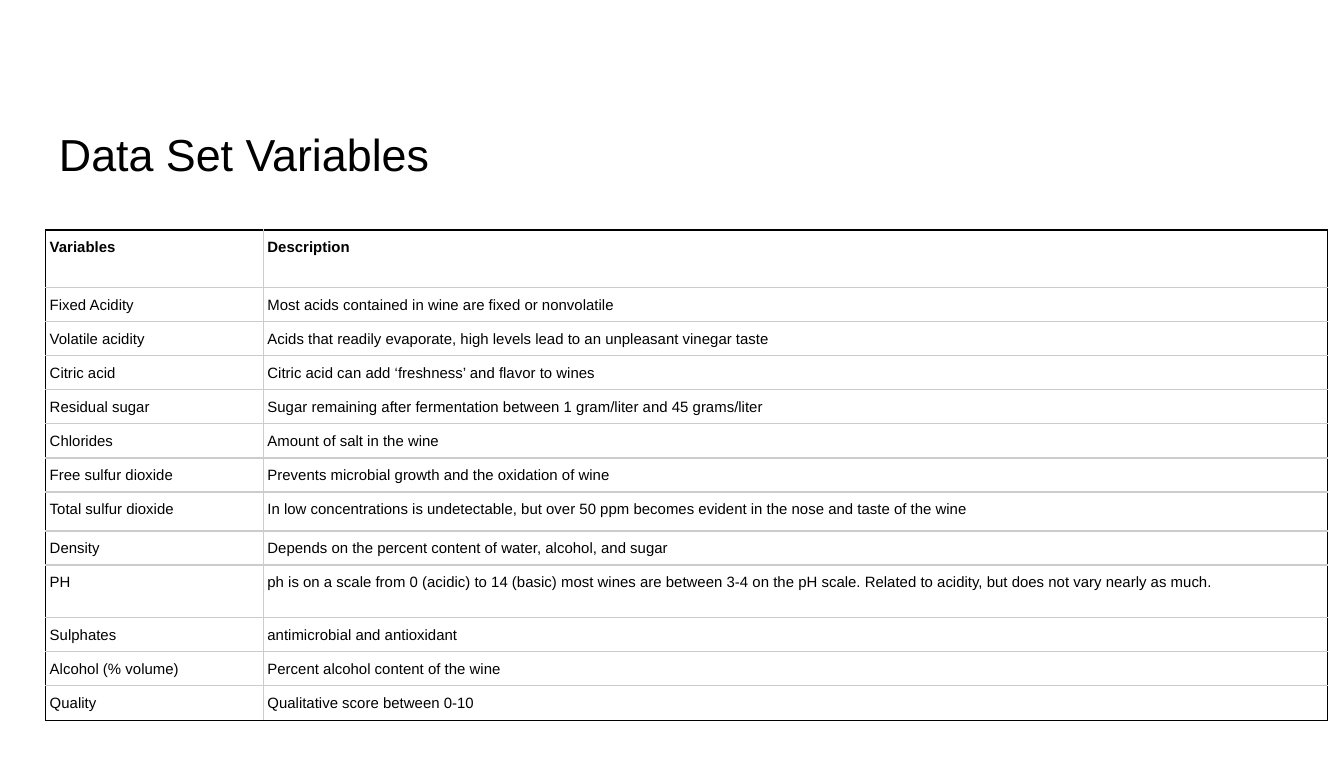
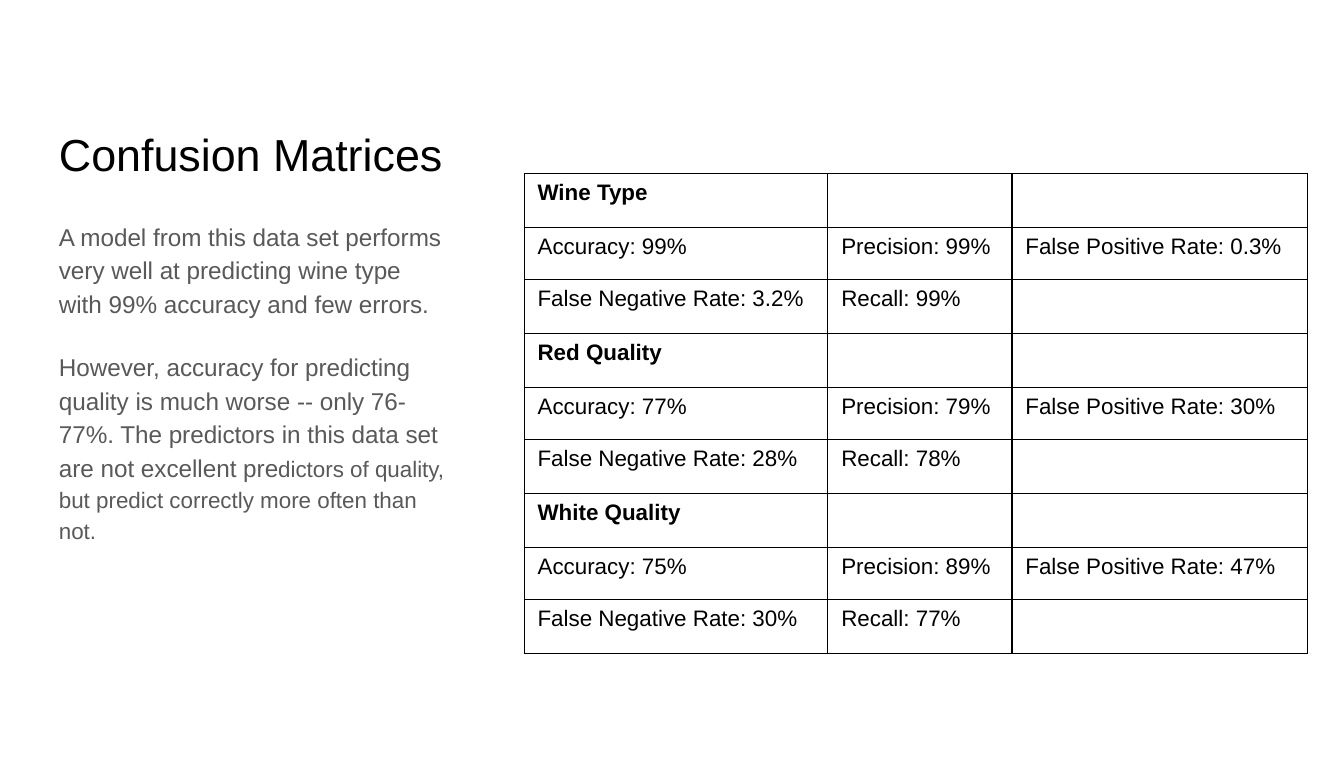
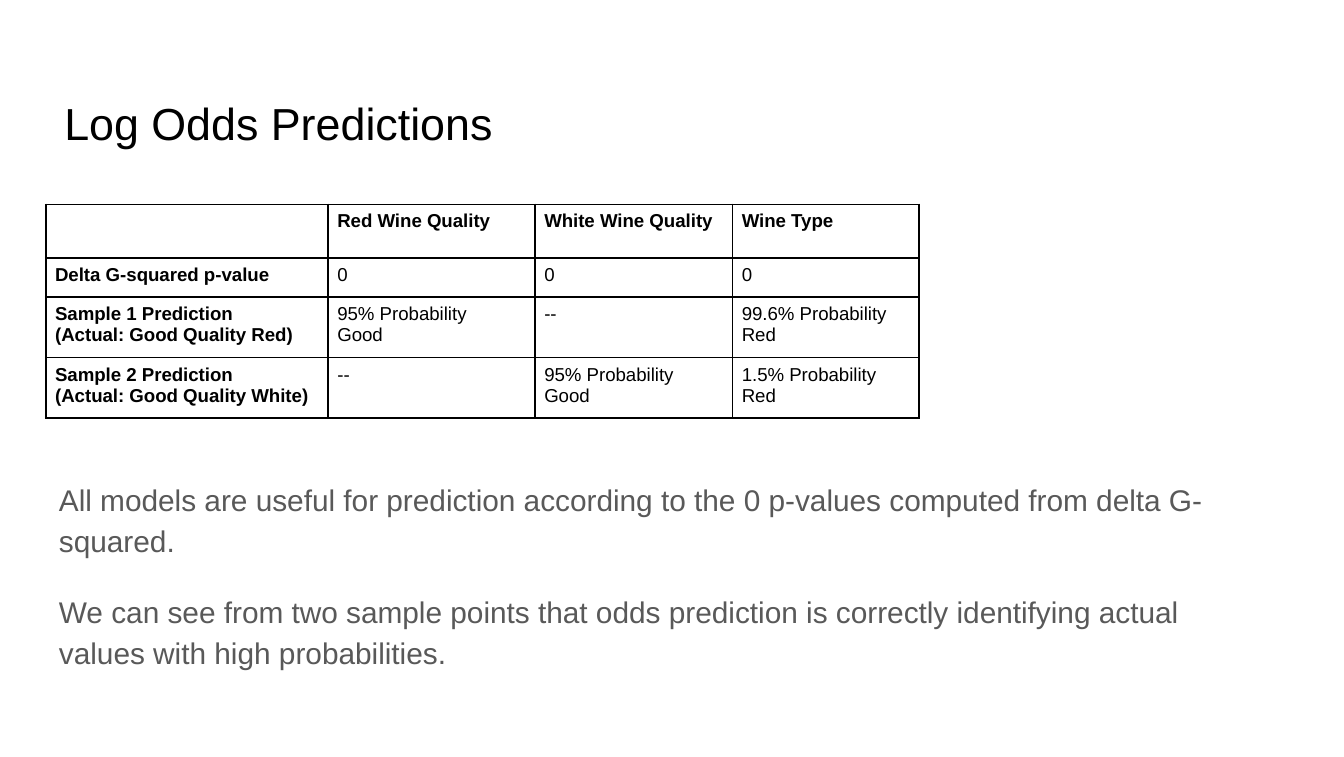
from pptx import Presentation
from pptx.util import Inches, Pt
from pptx.dml.color import RGBColor
from pptx.enum.text import MSO_ANCHOR as Anchor
from pptx.oxml import parse_xml
from pptx.oxml.ns import nsdecls

BLACK = RGBColor(0x00, 0x00, 0x00)
GRAY = RGBColor(0x59, 0x59, 0x59)
LIGHT = RGBColor(0xCC, 0xCC, 0xCC)
FONT = "Arial"


def add_text(slide, at, paras, color=GRAY, title=False):
    """Each paragraph is a list of (text, size) runs."""
    frame = slide.shapes.add_textbox(*map(Inches, at)).text_frame
    frame.word_wrap = True
    frame.margin_left = frame.margin_right = Inches(0.1)
    frame.margin_top = frame.margin_bottom = Inches(0.1)
    frame.vertical_anchor = Anchor.BOTTOM if title else Anchor.TOP
    for i, runs in enumerate(paras):
        para = frame.paragraphs[0] if i == 0 else frame.add_paragraph()
        if not title:
            para.line_spacing = 1.15
        if i:
            para.space_before = para.space_after = Pt(16)
        for words, size in runs:
            run = para.add_run()
            run.text = words
            run.font.name, run.font.size = FONT, Pt(size)
            run.font.color.rgb = color


def add_grid(slide, left, top, cols, rows, data, size, pad, bold,
             inner=BLACK, width=0.75, space=None):
    """bold(r, c) picks the bold cells; inner colours the inside lines."""
    table = slide.shapes.add_table(
        len(rows), len(cols), Inches(left), Inches(top),
        Inches(sum(cols)), Inches(sum(rows))).table
    table.first_row = table.horz_banding = False
    for col, wide in zip(table.columns, cols):
        col.width = Inches(wide)
    for row, high in zip(table.rows, rows):
        row.height = Inches(high)
    for r, line in enumerate(data):
        for c, words in enumerate(line):
            cell = table.cell(r, c)
            cell.margin_left = cell.margin_right = Inches(pad)
            cell.margin_top = cell.margin_bottom = Inches(0.05)
            # Borders: black outside, inner colour inside
            outer = {"L": c == 0, "R": c == len(cols) - 1,
                     "T": r == 0, "B": r == len(rows) - 1}
            for side, edge in outer.items():
                cell._tc.get_or_add_tcPr().append(parse_xml(
                    f'<a:ln{side} {nsdecls("a")} w="{Pt(width)}"><a:solidFill>'
                    f'<a:srgbClr val="{BLACK if edge else inner}"/>'
                    f'</a:solidFill></a:ln{side}>'))
            cell.fill.background()
            # Text
            para = cell.text_frame.paragraphs[0]
            if space:
                para.line_spacing = space
            for i, part in enumerate(words.split("\n") if words else []):
                if i:
                    para.add_line_break()
                run = para.add_run()
                run.text = part
                run.font.name, run.font.size = FONT, Pt(size)
                run.font.bold = bold(r, c)
                run.font.color.rgb = BLACK


prs = Presentation()
prs.slide_width, prs.slide_height = Inches(10), Inches(5.63)

# Titles
titles = [("Data Set Variables", (0.34, 0.61, 9.52, 0.83)),
          ("Confusion Matrices", (0.34, 0.61, 3.07, 0.83)),
          ("Log Odds Predictions", (0.38, 0.44, 9.08, 0.77))]
slides = []
for name, at in titles:
    slide = prs.slides.add_slide(prs.slide_layouts[6])
    add_text(slide, at, [[(name, 24)]], BLACK, title=True)
    slides.append(slide)
vars_, matrix, odds = slides

# Slide 1: variables
traits = [
    ("Variables", "Description"),
    ("Fixed Acidity", "Most acids contained in wine are fixed or nonvolatile"),
    ("Volatile acidity", "Acids that readily evaporate, high levels lead to an "
     "unpleasant vinegar taste"),
    ("Citric acid", "Citric acid can add ‘freshness’ and flavor to wines"),
    ("Residual sugar", "Sugar remaining after fermentation between "
     "1 gram/liter and 45 grams/liter"),
    ("Chlorides", "Amount of salt in the wine"),
    ("Free sulfur dioxide", "Prevents microbial growth and the oxidation of wine"),
    ("Total sulfur dioxide", "In low concentrations is undetectable, but over "
     "50 ppm becomes evident in the nose and taste of the wine"),
    ("Density", "Depends on the percent content of water, alcohol, and sugar"),
    ("PH", "ph is on a scale from 0 (acidic) to 14 (basic) most wines are "
     "between 3-4 on the pH scale. Related to acidity, but does not vary "
     "nearly as much."),
    ("Sulphates", "antimicrobial and antioxidant"),
    ("Alcohol (% volume)", "Percent alcohol content of the wine"),
    ("Quality", "Qualitative score between 0-10"),
]
tall = {0: 0.43, 7: 0.29, 9: 0.39, 12: 0.26}
add_grid(vars_, 0.34, 1.71, [1.62, 7.92],
         [tall.get(r, 0.25) for r in range(len(traits))], traits, 8, 0.03,
         lambda r, c: r == 0, inner=LIGHT, space=1.15)

# Slide 2: confusion matrices
add_text(matrix, (0.34, 1.52, 3.07, 3.48), [
    [("A model from this data set performs very well at predicting wine type "
      "with 99% accuracy and few errors.", 13)],
    [("However, accuracy for predicting quality is much worse -- only 76-77%. "
      "The predictors in this data set are not excellent pre", 13),
     ("dictors of quality, but predict correctly more often than not.", 12)],
])
models = [("Wine Type", "99%", "99%", "0.3%", "3.2%", "99%"),
          ("Red Quality", "77%", "79%", "30%", "28%", "78%"),
          ("White Quality", "75%", "89%", "47%", "30%", "77%")]
scores = []
for name, acc, prec, fpr, fnr, rec in models:
    scores += [
        (name, "", ""),
        (f"Accuracy: {acc}", f"Precision: {prec}", f"False Positive Rate: {fpr}"),
        (f"False Negative Rate: {fnr}", f"Recall: {rec}", ""),
    ]
add_grid(matrix, 3.9, 1.29, [2.26, 1.37, 2.2], [0.39] * len(scores), scores,
         12, 0.1, lambda r, c: r % 3 == 0)

# Slide 3: predictions
add_text(odds, (0.34, 3.44, 9.12, 1.56), [
    [("All models are useful for prediction according to the 0 p-values "
      "computed from delta G-squared.", 16)],
    [("We can see from two sample points that odds prediction is correctly "
      "identifying actual values with high probabilities.", 16)],
])
results = [
    ("", "Red Wine Quality", "White Wine Quality", "Wine Type"),
    ("Delta G-squared p-value", "0", "0", "0"),
    ("Sample 1 Prediction\n(Actual: Good Quality Red)",
     "95% Probability \nGood", "--", "99.6% Probability \nRed"),
    ("Sample 2 Prediction\n(Actual: Good Quality White)",
     "--", "95% Probability \nGood", "1.5% Probability \nRed"),
]
add_grid(odds, 0.34, 1.52, [2.1, 1.54, 1.47, 1.39], [0.29, 0.29, 0.45, 0.45],
         results, 10, 0.07, lambda r, c: r == 0 or c == 0, width=0.96)

prs.save("out.pptx")
